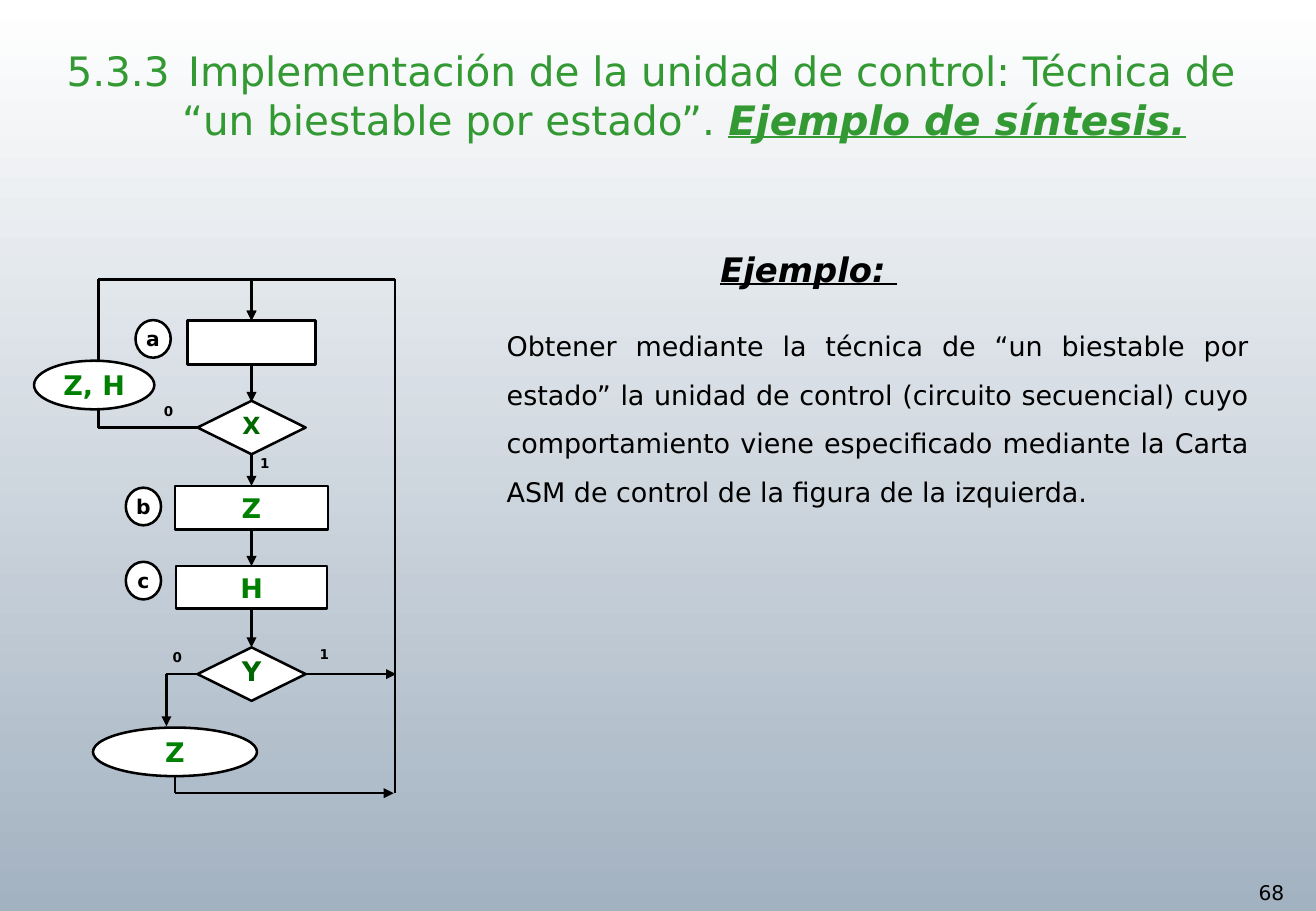
"""Builds the slide with the ASM chart example for one flip-flop per state."""
from itertools import pairwise

from lxml import etree
from pptx import Presentation
from pptx.dml.color import RGBColor
from pptx.enum.shapes import MSO_CONNECTOR, MSO_SHAPE
from pptx.enum.text import MSO_ANCHOR, PP_ALIGN
from pptx.oxml.ns import qn
from pptx.util import Inches, Pt

RECTANGLE = MSO_SHAPE.RECTANGLE
OVAL = MSO_SHAPE.OVAL
DECISION = MSO_SHAPE.FLOWCHART_DECISION
STRAIGHT = MSO_CONNECTOR.STRAIGHT
MIDDLE, BOTTOM = MSO_ANCHOR.MIDDLE, MSO_ANCHOR.BOTTOM
CENTER, JUSTIFY = PP_ALIGN.CENTER, PP_ALIGN.JUSTIFY

BLACK = RGBColor(0x00, 0x00, 0x00)
WHITE = RGBColor(0xFF, 0xFF, 0xFF)
STEEL = RGBColor(0xA3, 0xB2, 0xC1)
TITLE_GREEN = RGBColor(0x33, 0x99, 0x33)
OUTPUT_GREEN = RGBColor(0x00, 0x80, 0x00)
INPUT_GREEN = RGBColor(0x00, 0x66, 0x00)

FONT = "DejaVu Sans"
CELL = Inches(0.1)
STROKE = Pt(1.5)
AXIS, RETURN, LOOP = 20.7, 32.5, 8.1
TOP, END = 23, 65.3
X_ROW, Y_ROW = 35.2, 55.5


def write(para, text, size=16, color=BLACK, bold=False, italic=False, underline=False):
    span = para.add_run()
    span.text = text
    font = span.font
    font.name, font.size, font.color.rgb = FONT, Pt(size), color
    font.bold, font.italic, font.underline = bold, italic, underline


def add_text_frame(column, row, columns, rows, inset=None, wrap=True):
    box = page.shapes.add_textbox(*(int(n * CELL) for n in (column, row, columns, rows)))
    frame = box.text_frame
    frame.word_wrap = wrap
    if inset is not None:
        frame.margin_left = frame.margin_right = inset
        frame.margin_top = frame.margin_bottom = inset
    return frame


deck = Presentation()
deck.slide_width, deck.slide_height = Inches(10.83), Inches(7.5)
page = deck.slides.add_slide(deck.slide_layouts[6])

backdrop = page.background.fill
backdrop.gradient()
backdrop.gradient_angle = 270
for stop, color, position in zip(backdrop.gradient_stops, (WHITE, STEEL), (0, 1)):
    stop.color.rgb, stop.position = color, position

number = add_text_frame(102.6, 72, 5.7, 3, wrap=False)
write(number.paragraphs[0], "68", size=12)

title = add_text_frame(4.5, 3.9, 103.9, 8.4)
title.vertical_anchor = BOTTOM
write(title.paragraphs[0], "5.3.3\tImplementación de la unidad de control: Técnica de",
      size=24, color=TITLE_GREEN)
para = title.add_paragraph()
para._p.get_or_add_pPr().set("marL", str(int(9.5 * CELL)))
write(para, "“un biestable por estado”. ", size=24, color=TITLE_GREEN)
write(para, "Ejemplo de síntesis.", size=24, color=TITLE_GREEN,
      bold=True, italic=True, underline=True)

heading = add_text_frame(58.3, 20, 37, 4.3)
write(heading.paragraphs[0], "Ejemplo: ", size=20, bold=True, italic=True, underline=True)

statement = add_text_frame(41.7, 25.8, 61.1, 16, inset=0)
para = statement.paragraphs[0]
para.alignment, para.line_spacing = JUSTIFY, 1.5
write(para, "Obtener mediante la técnica de “un biestable por estado” la unidad de control "
      "(circuito secuencial) cuyo comportamiento viene especificado mediante la Carta ASM "
      "de control de la figura de la izquierda.")

routes = [[(AXIS, start), (AXIS, end)]
          for start, end in ((30, 33.1), (37.4, 40), (43.6, 46.6), (50.1, 53.3))]
routes += [
    [(16.3, Y_ROW), (13.7, Y_ROW), (13.7, 59.8)],
    [(25.2, Y_ROW), (32.6, Y_ROW)],
    [(14.4, 63.9), (14.4, END), (32.4, END)],
    [(16.3, X_ROW), (LOOP, X_ROW), (LOOP, TOP), (AXIS, TOP), (AXIS, 26.4)],
    [(RETURN, END), (RETURN, TOP), (AXIS, TOP), (AXIS, 26.4)],
]
for route in routes:
    for start, end in pairwise(route):
        line = page.shapes.add_connector(STRAIGHT, *(int(n * CELL) for n in start + end))
        line.line.width, line.line.color.rgb = STROKE, BLACK
        if end == route[-1]:
            arrow = etree.SubElement(line.line._get_or_add_ln(), qn("a:tailEnd"))
            arrow.set("type", "triangle")
        etree.SubElement(line._element.spPr, qn("a:effectLst"))

nodes = [
    (RECTANGLE, AXIS, 28.2, 10.5, 3.6, "", 16, OUTPUT_GREEN),
    (RECTANGLE, AXIS, 41.8, 12.6, 3.6, "Z", 16, OUTPUT_GREEN),
    (RECTANGLE, AXIS, 48.35, 12.4, 3.5, "H", 16, OUTPUT_GREEN),
    (DECISION, AXIS, X_ROW, 8.9, 4.4, "X", 14, INPUT_GREEN),
    (DECISION, AXIS, Y_ROW, 8.9, 4.4, "Y", 16, INPUT_GREEN),
    (OVAL, 7.75, 31.7, 9.9, 4, "Z, H", 16, OUTPUT_GREEN),
    (OVAL, 14.4, 61.9, 13.5, 4, "Z", 16, OUTPUT_GREEN),
    (OVAL, 12.6, 27.9, 2.9, 3.1, "a", 12, BLACK),
    (OVAL, 11.8, 41.7, 2.9, 3.1, "b", 12, BLACK),
    (OVAL, 11.8, 47.8, 2.9, 3.1, "c", 12, BLACK),
]
for kind, column, row, columns, rows, text, size, color in nodes:
    corner = (column - columns / 2, row - rows / 2)
    node = page.shapes.add_shape(kind, *(int(n * CELL) for n in corner + (columns, rows)))
    node.shadow.inherit = False
    node.fill.solid()
    node.fill.fore_color.rgb = WHITE
    node.line.width, node.line.color.rgb = STROKE, BLACK
    if text:
        frame = node.text_frame
        frame.margin_left = frame.margin_right = frame.margin_top = frame.margin_bottom = 0
        frame.vertical_anchor = MIDDLE
        para = frame.paragraphs[0]
        para.alignment = CENTER
        if kind == DECISION:
            para.line_spacing = 0.8
        write(para, text, size=size, color=color, bold=True)

for text, column, row in (("0", 14.2, 53.4), ("1", 26.3, 53.2),
                          ("0", 13.5, 33.2), ("1", 21.4, 37.5)):
    branch = add_text_frame(column, row, 1.6, 2.2, inset=0)
    write(branch.paragraphs[0], text, size=8, bold=True)

deck.save("out.pptx")
